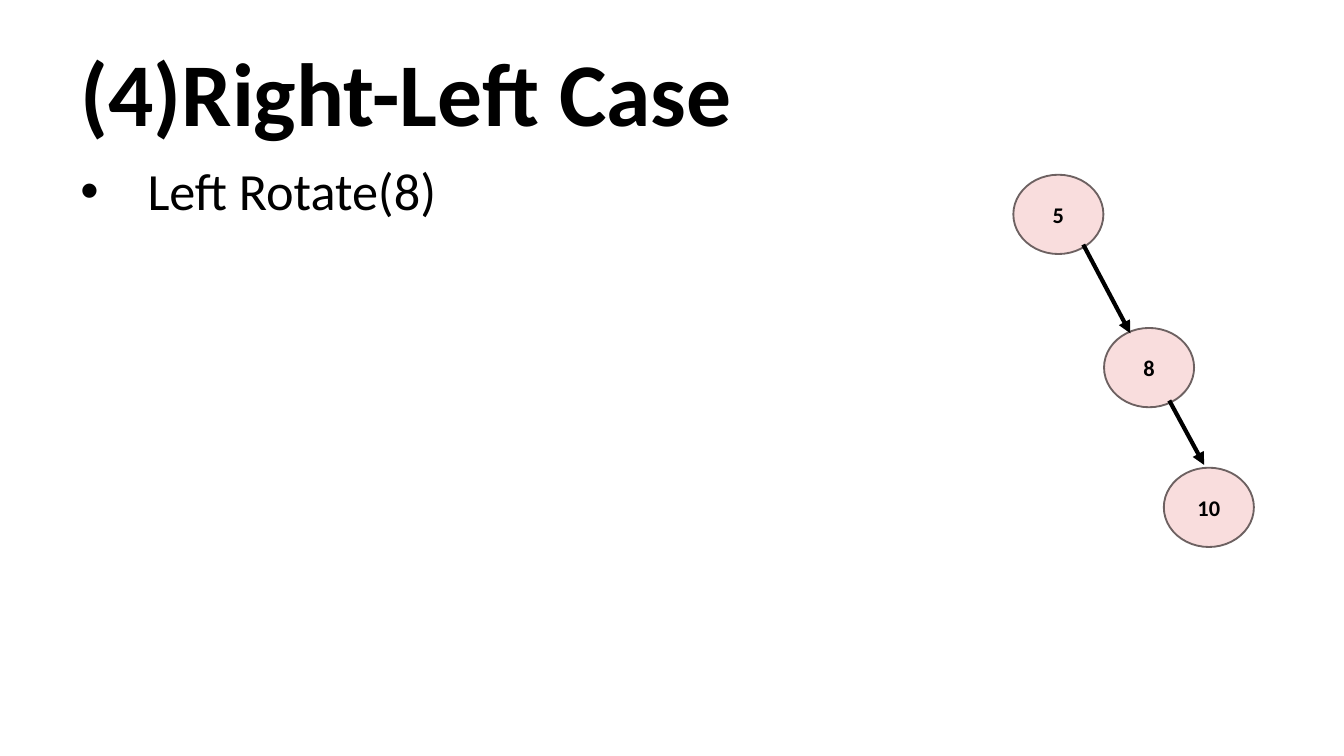
from typing import NamedTuple

from lxml.etree import SubElement
from pptx import Presentation
from pptx.dml.color import RGBColor
from pptx.enum.shapes import MSO_CONNECTOR, MSO_SHAPE
from pptx.enum.text import MSO_ANCHOR, MSO_AUTO_SIZE, PP_ALIGN
from pptx.oxml.ns import qn
from pptx.util import Inches, Pt

WIDE = Inches(10)
HIGH = WIDE * 9 // 16
COLS = 100
CELL = WIDE // COLS
COLOR = {"ink": "000000", "node": "F9DDDD", "edge": "6D6161", "page": "FFFFFF"}
FONT = "Calibri"


class Node(NamedTuple):
    key: str
    col: float
    row: float


class Link(NamedTuple):
    col1: float
    row1: float
    col2: float
    row2: float


NODE_W, NODE_H = 6.7, 5.9
NODES = [
    Node("5", 75.4, 13.0),
    Node("8", 82.15, 24.4),
    Node("10", 86.6, 34.8),
]
LINKS = [
    Link(80.6, 18.2, 84.1, 24.8),
    Link(87.0, 29.8, 89.6, 34.6),
]


def span(cells: float) -> int:
    return round(CELL * cells)


def tint(name: str) -> RGBColor:
    return RGBColor.from_string(COLOR[name])


def write(para, text: str, size: float, bold: bool = False) -> None:
    run = para.add_run()
    run.text = text
    run.font.name = FONT
    run.font.size = Pt(size)
    run.font.bold = bold
    run.font.color.rgb = tint("ink")


def draw_title(slide, text: str) -> None:
    title = slide.shapes.title
    title.left, title.top = span(5), span(3.12)
    title.width, title.height = span(90), span(8.7)
    frame = title.text_frame
    frame.auto_size = MSO_AUTO_SIZE.NONE
    frame.vertical_anchor = MSO_ANCHOR.TOP
    para = frame.paragraphs[0]
    para.alignment = PP_ALIGN.LEFT
    para.line_spacing = 0.9
    write(para, text, 48, True)


def draw_step(slide, text: str) -> None:
    box = slide.shapes.add_textbox(span(5), span(11.8), span(45), span(41.3))
    box.text_frame.word_wrap = True
    para = box.text_frame.paragraphs[0]
    para.line_spacing = 0.9
    props = para._p.get_or_add_pPr()
    props.set("marL", str(span(5)))
    props.set("indent", str(-span(5)))
    SubElement(props, qn("a:buFont"), typeface="Arial")
    SubElement(props, qn("a:buChar"), char="•")
    write(para, text, 28)


def draw_node(slide, node: Node) -> None:
    oval = slide.shapes.add_shape(
        MSO_SHAPE.OVAL, span(node.col), span(node.row), span(NODE_W), span(NODE_H)
    )
    oval.shadow.inherit = False
    oval.fill.solid()
    oval.fill.fore_color.rgb = tint("node")
    oval.line.color.rgb = tint("edge")
    oval.line.width = Pt(1)
    oval.text_frame.vertical_anchor = MSO_ANCHOR.MIDDLE
    para = oval.text_frame.paragraphs[0]
    para.alignment = PP_ALIGN.CENTER
    write(para, node.key, 12, True)


def draw_link(slide, link: Link) -> None:
    arrow = slide.shapes.add_connector(MSO_CONNECTOR.STRAIGHT, *map(span, link))
    arrow.line.color.rgb = tint("ink")
    arrow.line.width = Pt(2.25)
    props = arrow._element.spPr
    SubElement(props.get_or_add_ln(), qn("a:tailEnd"), type="triangle")
    SubElement(props, qn("a:effectLst"))


def main() -> None:
    deck = Presentation()
    deck.slide_width, deck.slide_height = WIDE, HIGH
    slide = deck.slides.add_slide(deck.slide_layouts[5])
    slide.background.fill.solid()
    slide.background.fill.fore_color.rgb = tint("page")
    draw_title(slide, "(4)Right-Left Case")
    draw_step(slide, "Left Rotate(8)")
    for node in NODES:
        draw_node(slide, node)
    for link in LINKS:
        draw_link(slide, link)
    deck.save("out.pptx")


if __name__ == "__main__":
    main()
